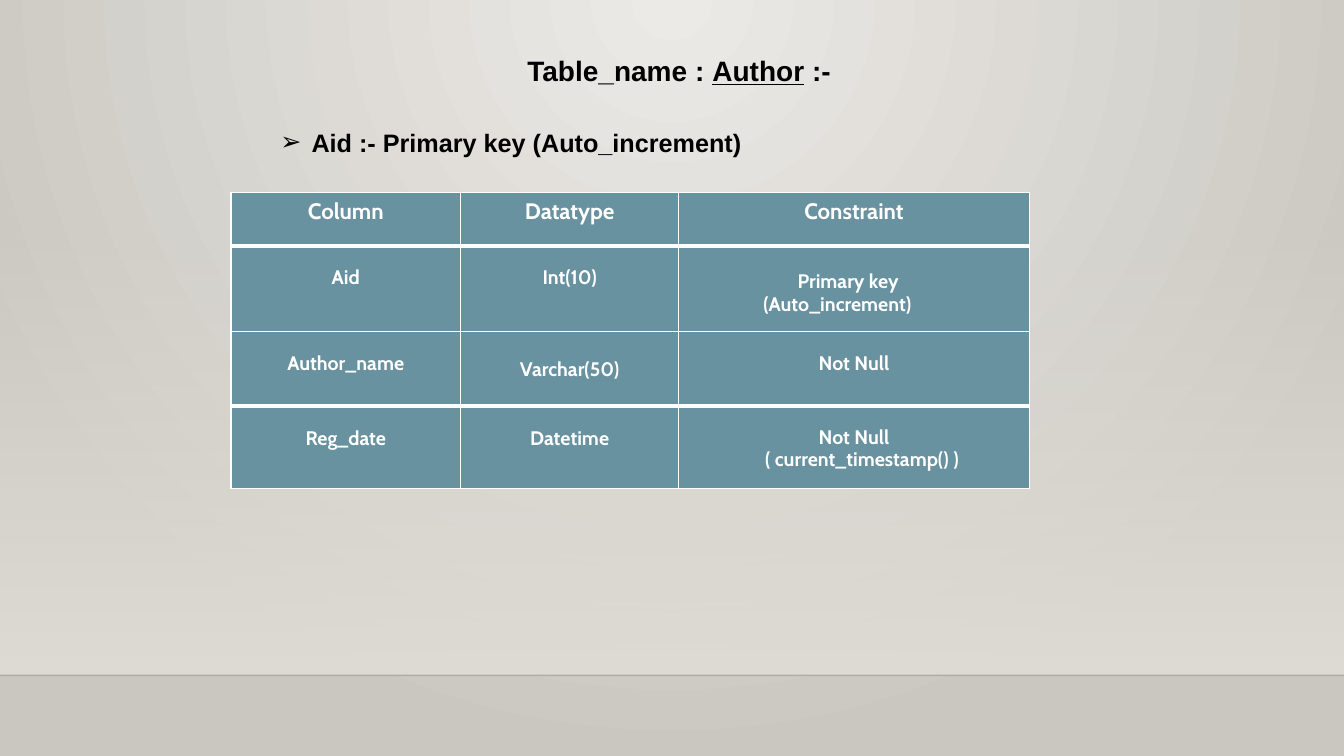
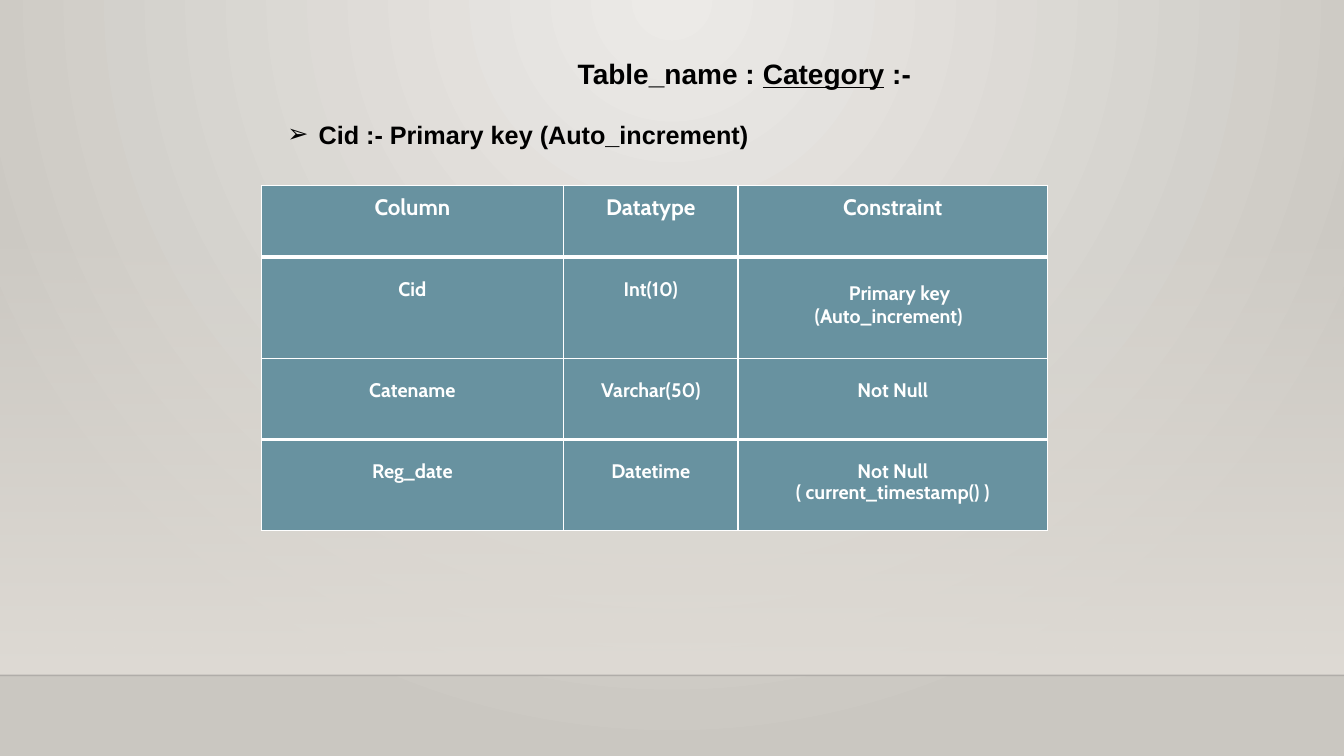
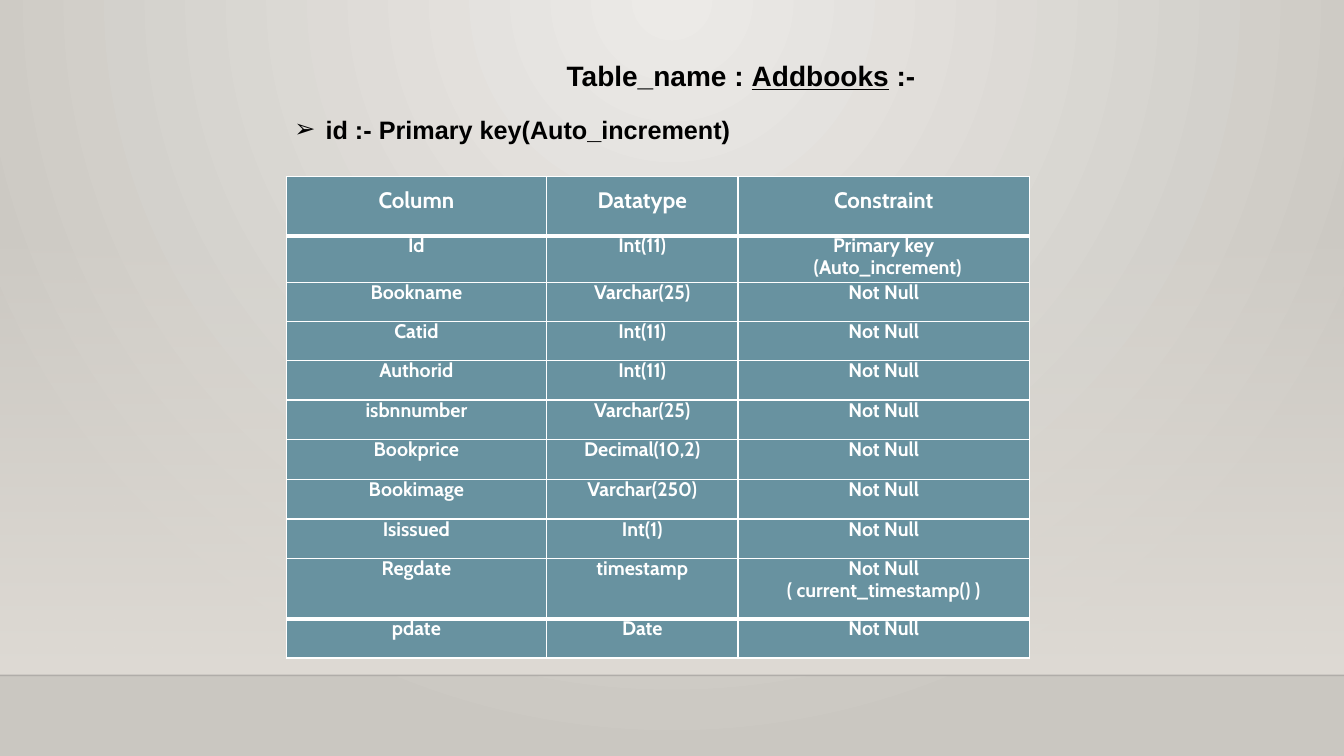
from dataclasses import dataclass

from pptx import Presentation, util as u
from pptx.dml.color import RGBColor
from pptx.enum import shapes, text
from pptx.oxml import parse_xml
from pptx.oxml.ns import nsdecls

LEFT, MID = text.PP_ALIGN.LEFT, text.PP_ALIGN.CENTER


@dataclass(frozen=True)
class Theme:
    ink: str = "000000"
    rule: str = "000001"
    white: str = "FFFFFF"
    cell: str = "6892A0"
    glow: str = "ECEAE7"
    edge: str = "CAC7C1"
    floor: str = "DFDBD5"
    head: str = "Arial"
    body: str = "Cabin"
    title: int = 20
    point: int = 18
    top: int = 16
    base: int = 14
    lead: float = 15.7
    thin: int = 1
    thick: int = 3


@dataclass(frozen=True)
class Cell:
    text: str
    left: tuple = (0, 0)
    align: int = MID
    lead: float = Theme.lead
    drop: float = 0


def node(xml):
    tag, rest = xml[1:].split(" ", 1) if " " in xml.split(">")[0] else (xml[1:].split(">")[0].rstrip("/"), None)
    if rest is None:
        return parse_xml(xml.replace(tag, f"{tag} {nsdecls('a')}", 1))
    return parse_xml(f"<{tag} {nsdecls('a')} {rest}")


def shade(owner, stops, way):
    marks = "".join(
        f'<a:gs pos="{pos * 1000}"><a:srgbClr val="{tone}"><a:alpha val="{alpha * 1000}"/></a:srgbClr></a:gs>'
        for pos, tone, alpha in stops)
    old = owner.xpath(".//a:gradFill")[0]
    old.getparent().replace(old, node(
        f'<a:gradFill rotWithShape="1"><a:gsLst>{marks}</a:gsLst>{way}</a:gradFill>'))


def write(para, words, *, font, size, tone, align=LEFT, lead=None, left=0, hang=0, mark=None, line=False):
    props = para._p.get_or_add_pPr()
    if left:
        props.set("marL", str(u.Inches(left)))
        props.set("indent", str(u.Inches(hang)))
    if mark:
        props.append(node(f'<a:buFont typeface="{font}"/>'))
        props.append(node(f'<a:buChar char="{mark}"/>'))
    para.alignment = align
    para.space_before = u.Pt(0)
    if lead:
        para.line_spacing = u.Pt(lead)
    run = para.add_run()
    run.text = words
    run.font.name, run.font.size = font, u.Pt(size)
    run.font.bold, run.font.underline = True, line
    run.font.color.rgb = RGBColor.from_string(tone)


class Deck:
    """Holds the theme and the current slide, and draws each kind of element."""

    def __init__(self, theme):
        self.theme = theme
        self.show = Presentation()
        self.show.slide_width, self.show.slide_height = u.Inches(13.33), u.Inches(7.5)
        self.slide = None

    def page(self):
        first = self.slide is None
        self.slide = self.show.slides.add_slide(self.show.slide_layouts[1])
        if first:
            self.stage()

    def stage(self):
        t, master = self.theme, self.show.slide_master
        master.background.fill.gradient()
        shade(master._element, [(0, t.glow, 100), (100, t.edge, 100)],
              '<a:path path="circle"><a:fillToRect l="43000" t="0" r="43000" b="100000"/></a:path>')
        wide, base = self.show.slide_width, u.Inches(6.7)
        band = self.slide.shapes.add_shape(
            shapes.MSO_SHAPE.RECTANGLE, 0, u.Inches(2.21), wide, u.Inches(4.49))
        band.shadow.inherit = False
        band.line.fill.background()
        band.fill.gradient()
        shade(band._element, [(0, t.floor, 0), (100, t.floor, 100)], '<a:lin ang="5400000" scaled="0"/>')
        rule = self.slide.shapes.add_connector(shapes.MSO_CONNECTOR.STRAIGHT, 0, base, wide, base)
        rule.line.width = u.Pt(t.thin)
        rule.line.color.rgb = RGBColor.from_string(t.rule)
        rule._element.xpath(".//a:ln//a:srgbClr")[0].append(node('<a:alpha val="20000"/>'))
        rule._element.spPr.append(node("<a:effectLst/>"))
        for step, part in enumerate((band, rule)):
            part._element.xpath(".//p:cNvPr")[0].set("id", str(90 + step))
            master.shapes._spTree.insert(2 + step, part._element)

    def place(self, shape, left, top, width, height):
        shape.left, shape.top = u.Inches(left), u.Inches(top)
        shape.width, shape.height = u.Inches(width), u.Inches(height)
        frame = shape.text_frame
        frame.word_wrap = True
        frame.auto_size = text.MSO_AUTO_SIZE.NONE
        frame.vertical_anchor = text.MSO_ANCHOR.TOP
        return frame.paragraphs[0]

    def title(self, name, left, top):
        t = self.theme
        para = self.place(self.slide.shapes.title, left, top, 3.9, 0.44)
        for words, line in (("Table_name : ", False), (name, True), (" :-", False)):
            write(para, words, font=t.head, size=t.title, tone=t.ink, line=line)

    def point(self, words, left, top):
        t = self.theme
        para = self.place(self.slide.placeholders[1], left, top, 6.67, 0.4)
        write(para, words, font=t.head, size=t.point, tone=t.ink, left=0.81, hang=-0.31, mark="➢")

    def cell(self, box, item, size, pad, above, below):
        t = self.theme
        props = box._tc.get_or_add_tcPr()
        for side, width in zip("LRTB", (t.thin, t.thin, above, below)):
            props.append(node(
                f'<a:ln{side} w="{u.Pt(width)}"><a:solidFill><a:srgbClr val="{t.white}"/></a:solidFill></a:ln{side}>'))
        box.fill.solid()
        box.fill.fore_color.rgb = RGBColor.from_string(t.cell)
        box.margin_left = box.margin_right = box.margin_bottom = 0
        box.margin_top = u.Pt(pad) + u.Inches(item.drop)
        frame = box.text_frame
        for spot, (words, left) in enumerate(zip(item.text.split("\n"), item.left)):
            para = frame.add_paragraph() if spot else frame.paragraphs[0]
            write(para, words, font=t.body, size=size, tone=t.white,
                  align=item.align, lead=item.lead, left=left)

    def table(self, left, top, cols, highs, rows, lead, pad):
        t = self.theme
        rows = [[Cell(head, lead=lead) for head in ("Column", "Datatype", "Constraint")], *rows]
        last = len(rows) - 1
        grid = self.slide.shapes.add_table(
            len(rows), len(cols), u.Inches(left), u.Inches(top),
            u.Inches(sum(cols)), u.Inches(sum(highs))).table
        grid.horz_banding = False
        for col, width in zip(grid.columns, cols):
            col.width = u.Inches(width)
        for r, (row, high) in enumerate(zip(rows, highs)):
            grid.rows[r].height = u.Inches(high)
            above = t.thick if r in (1, last) else t.thin
            below = t.thick if r in (0, last - 1) else t.thin
            for c, item in enumerate(row):
                item = item if isinstance(item, Cell) else Cell(item)
                self.cell(grid.cell(r, c), item, t.base if r else t.top,
                          pad if r else lead, above, below)


KEY = "Primary key\n(Auto_increment)"
STAMP = "Not Null\n( current_timestamp() )"
FULL = "Not Null"


def main():
    theme = Theme()
    deck = Deck(theme)

    deck.page()
    deck.title("Author", 5.13, 0.48)
    deck.point("Aid :- Primary key (Auto_increment)", 2.18, 1.21)
    deck.table(2.29, 1.91, (2.28, 2.16, 3.48), (0.53, 0.85, 0.74, 0.82), [
        ("Aid", "Int(10)", Cell(KEY, (1.18, 0.84), LEFT, 16.4, 0.03)),
        ("Author_name", Cell("Varchar(50)", drop=0.06), FULL),
        ("Reg_date", "Datetime", Cell(STAMP, (0, 0.16), lead=15.4)),
    ], lead=11.8, pad=theme.lead)

    deck.page()
    deck.title("Category", 5.63, 0.51)
    deck.point("Cid :- Primary key (Auto_increment)", 2.25, 1.13)
    deck.table(2.59, 1.84, (3, 1.73, 3.07), (0.71, 1.01, 0.8, 0.9), [
        ("Cid", "Int(10)", Cell(KEY, (1.1, 0.76), LEFT, 16.4, 0.03)),
        ("Catename", "Varchar(50)", FULL),
        ("Reg_date", "Datetime", Cell(STAMP, lead=15.4)),
    ], lead=12.8, pad=theme.lead)

    deck.page()
    deck.title("Addbooks", 5.52, 0.53)
    deck.point("id :- Primary key(Auto_increment)", 2.32, 1.08)
    deck.table(2.84, 1.75, (2.58, 1.9, 2.89),
               (0.59, 0.46, 0.39, 0.39, 0.39, 0.39, 0.4, 0.39, 0.39, 0.6, 0.39), [
        ("Id", "Int(11)", Cell(KEY, (0, 0.08))),
        ("Bookname", "Varchar(25)", FULL),
        ("Catid", "Int(11)", FULL),
        ("Authorid", "Int(11)", FULL),
        ("isbnnumber", "Varchar(25)", FULL),
        ("Bookprice", "Decimal(10,2)", FULL),
        ("Bookimage", "Varchar(250)", FULL),
        ("Isissued", "Int(1)", FULL),
        ("Regdate", "timestamp", Cell(STAMP)),
        ("pdate", "Date", FULL),
    ], lead=13.3, pad=0)

    deck.show.save("out.pptx")


if __name__ == "__main__":
    main()
